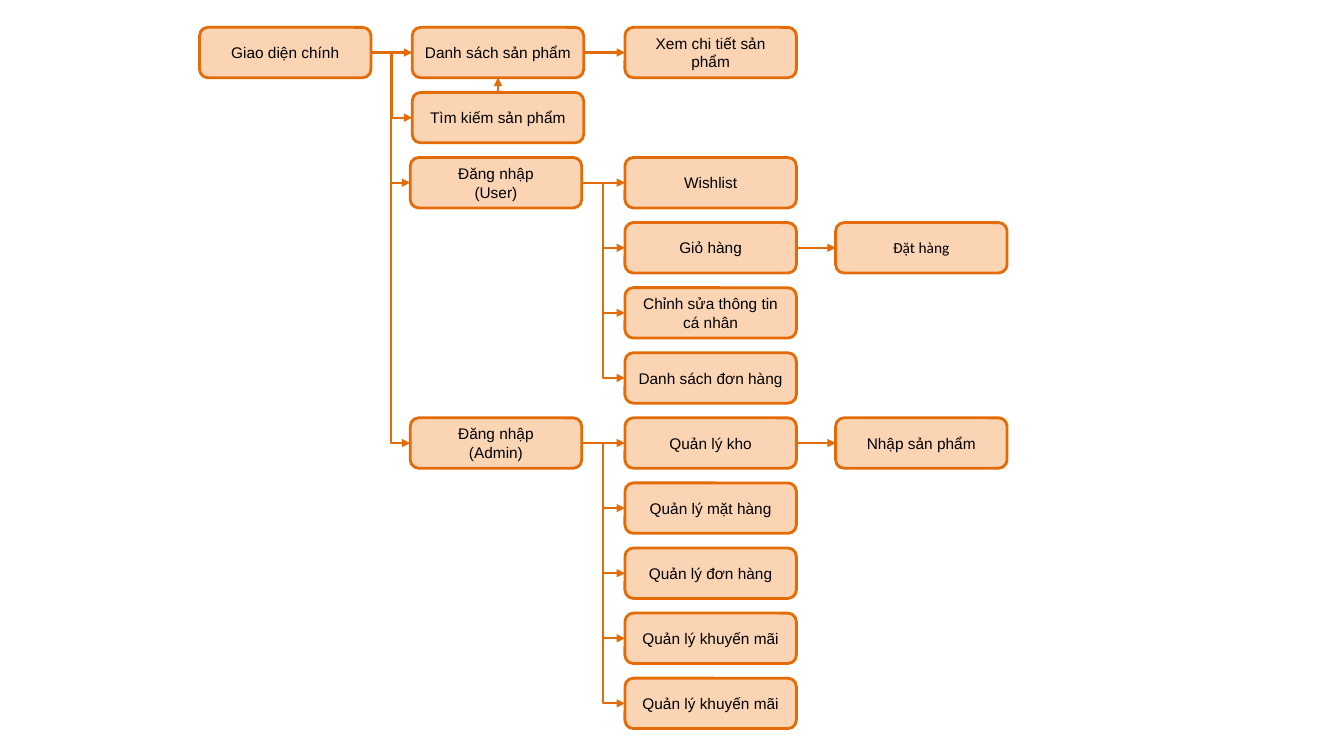
from pptx import Presentation
from pptx.dml.color import RGBColor
from pptx.enum.shapes import MSO_CONNECTOR, MSO_SHAPE
from pptx.enum.text import MSO_ANCHOR, PP_ALIGN
from pptx.oxml.ns import qn
from pptx.util import Cm, Pt
from lxml.etree import SubElement

PEACH = RGBColor(0xFB, 0xD4, 0xB4)
ORANGE = RGBColor(0xE3, 0x6C, 0x09)
BLACK = RGBColor(0x00, 0x00, 0x00)

BOX_W, BOX_H = Cm(4.32), Cm(1.27)
ROW = Cm(1.64)
HOME_X, SHOP_X, LOGIN_X = Cm(5.03), Cm(10.39), Cm(10.34)
TASK_DX, FOLLOW_DX = Cm(5.41), Cm(10.72)  # offsets from the login column
TOP, RIGHT, BOTTOM, LEFT = 0, 3, 2, 1  # connection sites


def write_text(tf, text, font="Arial", size=11, color=BLACK, align=PP_ALIGN.CENTER):
    tf.word_wrap = True
    tf.vertical_anchor = MSO_ANCHOR.MIDDLE
    for i, line in enumerate(text.split("\n")):
        p = tf.paragraphs[0] if i == 0 else tf.add_paragraph()
        p.alignment = align
        r = p.add_run()
        r.text = line
        r.font.name, r.font.size = font, Pt(size)
        r.font.color.rgb = color


def add_box(s, x, y, text, **text_format):
    sp = s.shapes.add_shape(MSO_SHAPE.ROUNDED_RECTANGLE, x, y, BOX_W, BOX_H)
    sp.shadow.inherit = False
    sp.fill.solid()
    sp.fill.fore_color.rgb = PEACH
    sp.line.color.rgb = ORANGE
    sp.line.width = Pt(2)
    write_text(sp.text_frame, text, **text_format)
    return sp


def add_arrow(s, start, end, start_site=RIGHT, end_site=LEFT):
    # Boxes level with each other get a straight arrow, others an elbow
    straight = start.top == end.top or start_site == TOP
    kind = MSO_CONNECTOR.STRAIGHT if straight else MSO_CONNECTOR.ELBOW
    c = s.shapes.add_connector(kind, 0, 0, 0, 0)
    c.begin_connect(start, start_site)
    c.end_connect(end, end_site)
    c.line.color.rgb = ORANGE
    c.line.width = Pt(1.5)
    SubElement(c.line._get_or_add_ln(), qn("a:tailEnd"), type="triangle")
    SubElement(c._element.spPr, qn("a:effectLst"))


def add_product_branch(s, home, x, y):
    """Product list with its detail page, and the search below it."""
    products = add_box(s, x, y, "Danh sách sản phẩm")
    search = add_box(s, x, y + ROW, "Tìm kiếm sản phẩm")
    detail = add_box(s, LOGIN_X + TASK_DX, y, "Xem chi tiết sản phẩm")
    add_arrow(s, home, products)
    add_arrow(s, home, search)
    add_arrow(s, search, products, TOP, BOTTOM)
    add_arrow(s, products, detail)


def add_login_branch(s, home, x, y, title, tasks, follow_row, follow_text, **follow_format):
    """Login box, its column of tasks, and the step that follows one task."""
    login = add_box(s, x, y, title)
    add_arrow(s, home, login)
    for row, text in enumerate(tasks):
        task = add_box(s, x + TASK_DX, y + row * ROW, text)
        add_arrow(s, login, task)
        if row == follow_row:
            follow = add_box(s, x + FOLLOW_DX, task.top, follow_text, **follow_format)
            add_arrow(s, task, follow)


def main():
    prs = Presentation()
    prs.slide_width, prs.slide_height = Cm(33.87), Cm(19.05)
    s = prs.slides.add_slide(prs.slide_layouts[6])

    # Home screen and product pages
    top = Cm(0.69)
    home = add_box(s, HOME_X, top, "Giao diện chính")
    add_product_branch(s, home, SHOP_X, top)

    # User tasks
    add_login_branch(
        s, home, LOGIN_X, top + 2 * ROW, "Đăng nhập\n(User)",
        ["Wishlist", "Giỏ hàng", "Chỉnh sửa thông tin cá nhân", "Danh sách đơn hàng"],
        1, "Đặt hàng", font="Calibri")

    # Admin tasks
    add_login_branch(
        s, home, LOGIN_X, top + 6 * ROW, "Đăng nhập\n(Admin)",
        ["Quản lý kho", "Quản lý mặt hàng", "Quản lý đơn hàng",
         "Quản lý khuyến mãi", "Quản lý khuyến mãi"],
        0, "Nhập sản phẩm")

    prs.save("out.pptx")


if __name__ == "__main__":
    main()
